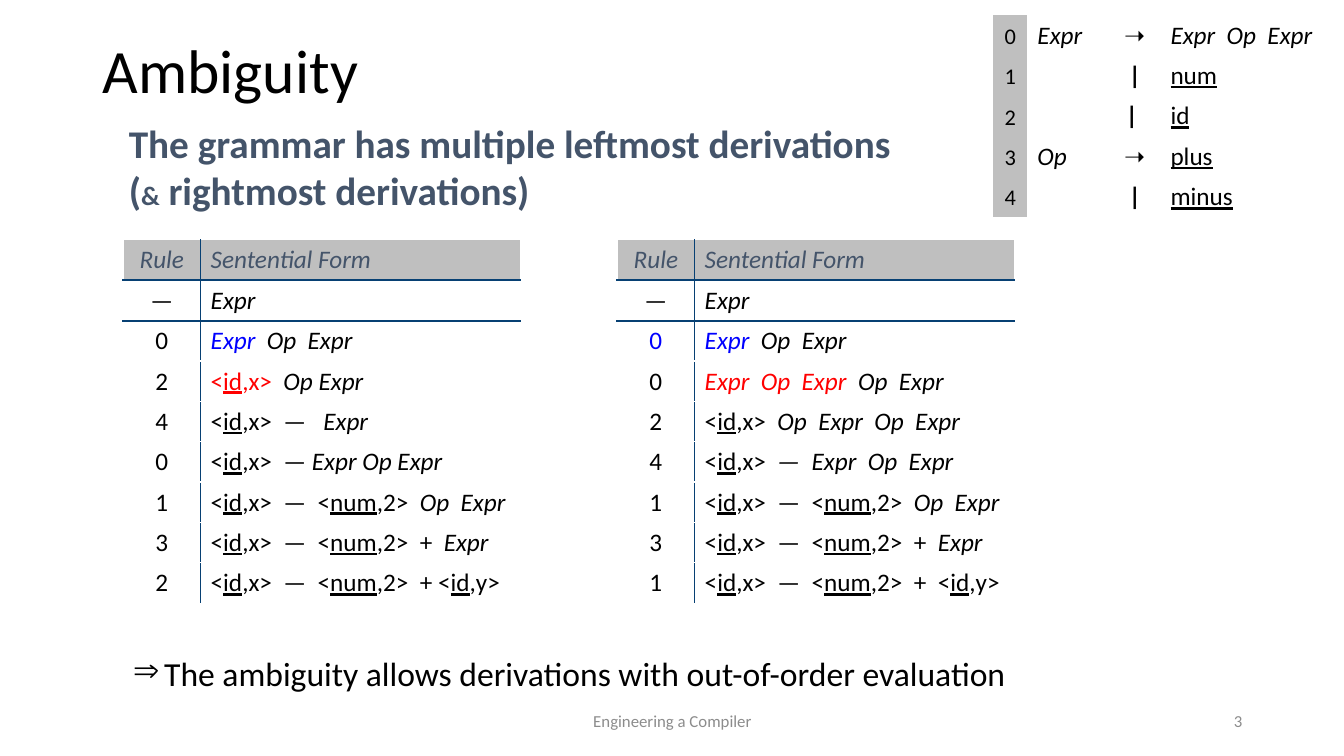
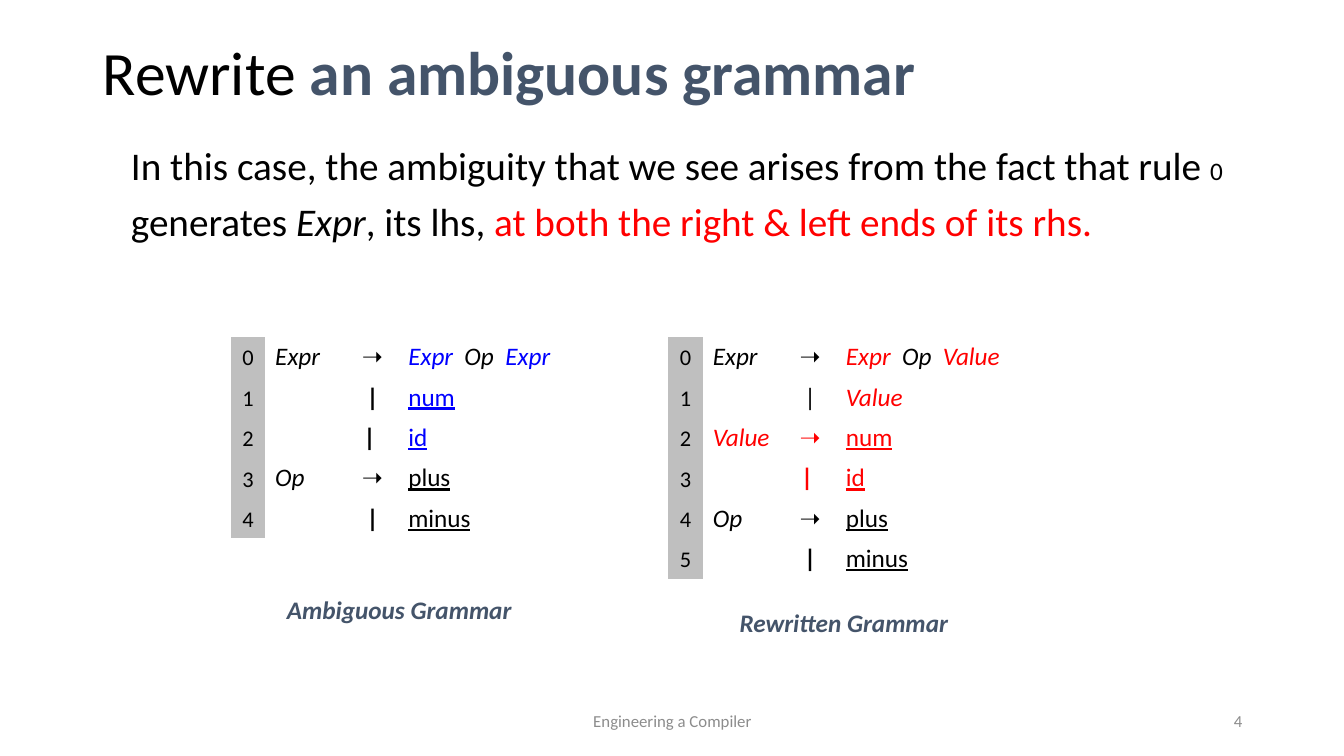
"""Build two slides on ambiguous grammars and how to rewrite them."""
from lxml.etree import SubElement
from pptx import Presentation
from pptx.dml.color import RGBColor
from pptx.enum.text import MSO_ANCHOR as Anchor, PP_ALIGN as Align
from pptx.oxml.ns import qn
from pptx.util import Inches, Pt

FONT = "Calibri"
BLACK, SLATE, GRAY, FOOTER_GRAY = "000000", "44546A", "BFBFBF", "8C8C8C"
RED, BLUE, NAVY, WHITE = "FF0000", "0000FF", "074073", "FFFFFF"
FLAG_COLORS = {"r": RED, "n": BLUE}
PLAIN_TABLE = "{2D5ABB26-0587-4C30-8999-92F81FD0307C}"
ROW_HEIGHT = 0.4


def write(paragraph, runs, size, color=BLACK, align=Align.LEFT):
    """Add (text, flags) runs; flags: b bold, i italic, u underline, r red, n blue."""
    paragraph.alignment = align
    for text, flags in runs:
        run = paragraph.add_run()
        run.text = text
        font = run.font
        font.name, font.size = FONT, Pt(size)
        font.bold, font.italic, font.underline = (flag in flags for flag in "biu")
        shade = next((FLAG_COLORS[f] for f in flags if f in FLAG_COLORS), color)
        font.color.rgb = RGBColor.from_string(shade)


def add_text(slide, box, lines, size, color=BLACK, align=Align.LEFT, anchor=Anchor.TOP):
    """Add a wrapping text box with one paragraph per line and return the paragraphs."""
    frame = slide.shapes.add_textbox(*map(Inches, box)).text_frame
    frame.word_wrap = True
    frame.vertical_anchor = anchor
    for number, runs in enumerate(lines):
        paragraph = frame.add_paragraph() if number else frame.paragraphs[0]
        write(paragraph, runs, size, color, align)
    return frame.paragraphs


prs = Presentation()
prs.slide_width, prs.slide_height = Inches(13.33), Inches(7.5)

titles = [
    ((0.92, 0, 11.5, 1.45), [("Ambiguity", "")]),
    ((0.92, 0.11, 11.5, 1.27), [("Rewrite ", ""), ("an ambiguous grammar", "b")]),
]
for number, (box, title) in enumerate(titles, start=3):
    slide = prs.slides.add_slide(prs.slide_layouts[6])
    heading = add_text(slide, box, [title], 44, anchor=Anchor.MIDDLE)[0]
    heading.line_spacing = 0.9
    for run in heading.runs[1:]:
        run.font.color.rgb = RGBColor.from_string(SLATE)
    add_text(slide, (4.42, 6.95, 4.5, 0.4), [[("Engineering a Compiler", "")]], 12,
             FOOTER_GRAY, Align.CENTER, Anchor.MIDDLE)
    add_text(slide, (9.42, 6.95, 3, 0.4), [[(str(number), "")]], 12,
             FOOTER_GRAY, Align.RIGHT, Anchor.MIDDLE)
ambiguity, rewrite = prs.slides

claim = add_text(ambiguity, (1.18, 1.13, 10.53, 1.1), [
    [("The grammar has multiple leftmost derivations", "b")],
    [("(", "b"), ("&", "b"), (" rightmost derivations)", "b")],
], 28, SLATE)
claim[1].runs[1].font.size = Pt(19)

conclusion = add_text(ambiguity, (1.22, 6.35, 9.8, 0.55), [
    [("The ambiguity allows derivations with out-of-order evaluation", "")],
], 24)[0]
conclusion.line_spacing = 1.2
bullet_props = conclusion._p.get_or_add_pPr()
bullet_props.set("marL", str(Inches(0.31)))
bullet_props.set("indent", str(Inches(-0.31)))
SubElement(bullet_props, qn("a:buChar"), char="⇒")

cause = add_text(rewrite, (1.2, 1.26, 11.05, 1.4), [[
    ("In this case, the ambiguity that we see arises from the fact that rule ", ""),
    ("0", ""), (" generates ", ""), ("Expr", "i"), (", its lhs, ", ""),
    ("at both the right & left ends of its rhs.", "r"),
]], 28)[0]
cause.line_spacing = 1.2
cause.space_before = Pt(2.5)
cause.runs[1].font.size = Pt(18)

for box, caption in [((2.31, 5.85, 3.3, 0.4), "Ambiguous Grammar"),
                     ((6.72, 5.98, 3.3, 0.4), "Rewritten Grammar")]:
    add_text(rewrite, box, [[(caption, "bi")]], 18, SLATE, Align.CENTER)

id_x = [("<", ""), ("id", "u"), (",x>  ", "")]
num_2 = [("<", ""), ("num", "u"), (",2>", "")]
id_y = [("<", ""), ("id", "u"), (",y>", "")]
minus_num = id_x + [("—  ", "")] + num_2
start_rows = [
    [("Rule", "i"), [("Sentential Form", "i")]],
    [("—", ""), [("Expr", "i")]],
]
first_derivation = start_rows + [
    [("0", ""), [("Expr ", "in"), (" Op  Expr", "i")]],
    [("2", ""), [("<", "r"), ("id", "ur"), (",x>  ", "r"), ("Op Expr", "i")]],
    [("4", ""), id_x + [("—   ", ""), ("Expr", "i")]],
    [("0", ""), id_x + [("— ", ""), ("Expr Op Expr", "i")]],
    [("1", ""), minus_num + [("  Op  Expr", "i")]],
    [("3", ""), minus_num + [("  +", ""), ("  Expr", "i")]],
    [("2", ""), minus_num + [("  + ", "")] + id_y],
]
second_derivation = start_rows + [
    [("0", "n"), [("Expr  ", "in"), ("Op  Expr", "i")]],
    [("0", ""), [("Expr  Op  Expr  ", "ir"), ("Op  Expr", "i")]],
    [("2", ""), id_x + [("Op  Expr  Op  Expr", "i")]],
    [("4", ""), id_x + [("—  Expr  Op  Expr", "i")]],
    [("1", ""), minus_num + [("  Op  Expr", "i")]],
    [("3", ""), minus_num + [("  +", ""), ("  Expr", "i")]],
    [("1", ""), minus_num + [("  +  ", "")] + id_y],
]

none, arrow, bar, loose_bar = ("", ""), ("➝", "b"), ("|", "b"), ("| ", "b")
op_rows = [
    [("Op", "i"), arrow, [("plus", "u")]],
    [none, bar, [("minus", "u")]],
]
plain_grammar = [
    [("Expr", "i"), arrow, [("Expr  Op  Expr", "i")]],
    [none, bar, [("num", "u")]],
    [none, loose_bar, [("id", "u")]],
] + op_rows
ambiguous_grammar = [
    [("Expr", "i"), arrow, [("Expr", "in"), ("  Op  ", "i"), ("Expr", "in")]],
    [none, bar, [("num", "un")]],
    [none, loose_bar, [("id", "un")]],
] + op_rows
rewritten_grammar = [
    [("Expr", "i"), arrow, [("Expr ", "ir"), (" Op  ", "i"), ("Value", "ir")]],
    [none, ("|", ""), [("Value", "ir")]],
    [("Value", "ir"), ("➝", "br"), [("num", "ur")]],
    [none, ("| ", "br"), [("id", "ur")]],
] + op_rows

derivation_widths, grammar_widths = (0.77, 3.17), (0.34, 0.81, 0.51, 1.82)
tables = [
    (ambiguity, 1.22, 2.38, derivation_widths, first_derivation),
    (ambiguity, 6.12, 2.38, derivation_widths, second_derivation),
    (ambiguity, 9.85, 0.15, grammar_widths, plain_grammar),
    (rewrite, 6.63, 3.34, grammar_widths, rewritten_grammar),
    (rewrite, 2.29, 3.34, grammar_widths, ambiguous_grammar),
]
for slide, left, top, widths, rows in tables:
    is_grammar = widths is grammar_widths
    table = slide.shapes.add_table(
        len(rows), len(widths), Inches(left), Inches(top),
        Inches(sum(widths)), Inches(ROW_HEIGHT * len(rows))).table
    table.first_row = table.horz_banding = False
    table._tbl.tblPr.find(qn("a:tableStyleId")).text = PLAIN_TABLE
    for column, width in zip(table.columns, widths):
        column.width = Inches(width)
    for r, row in enumerate(rows):
        table.rows[r].height = Inches(ROW_HEIGHT)
        content = [(str(r), "")] + row if is_grammar else row
        for c, entry in enumerate(content):
            cell = table.cell(r, c)
            is_index = is_grammar and c == 0
            is_header = not is_grammar and r == 0
            runs = entry if isinstance(entry, list) else [entry]
            if entry != none:
                centered = c in ((0, 2) if is_grammar else (0,))
                write(cell.text_frame.paragraphs[0], runs, 16 if is_index else 18,
                      SLATE if is_header else BLACK,
                      Align.CENTER if centered else Align.LEFT)
            if is_index:
                cell.vertical_anchor = Anchor.BOTTOM
            if not is_grammar:
                strong, thin, clear = (NAVY, 1.5), (NAVY, 1), (WHITE, 1)
                borders = {
                    "a:lnL": thin if c == 1 else clear,
                    "a:lnR": thin if c == 0 else clear,
                    "a:lnT": strong if r in (1, 2) else clear,
                    "a:lnB": strong if r in (0, 1) else clear,
                }
                for side, (color, weight) in borders.items():
                    line = SubElement(cell._tc.get_or_add_tcPr(), qn(side), w=str(Pt(weight)))
                    SubElement(SubElement(line, qn("a:solidFill")), qn("a:srgbClr"), val=color)
            if is_index or is_header:
                cell.fill.solid()
                cell.fill.fore_color.rgb = RGBColor.from_string(GRAY)
            else:
                cell.fill.background()

prs.save("out.pptx")
